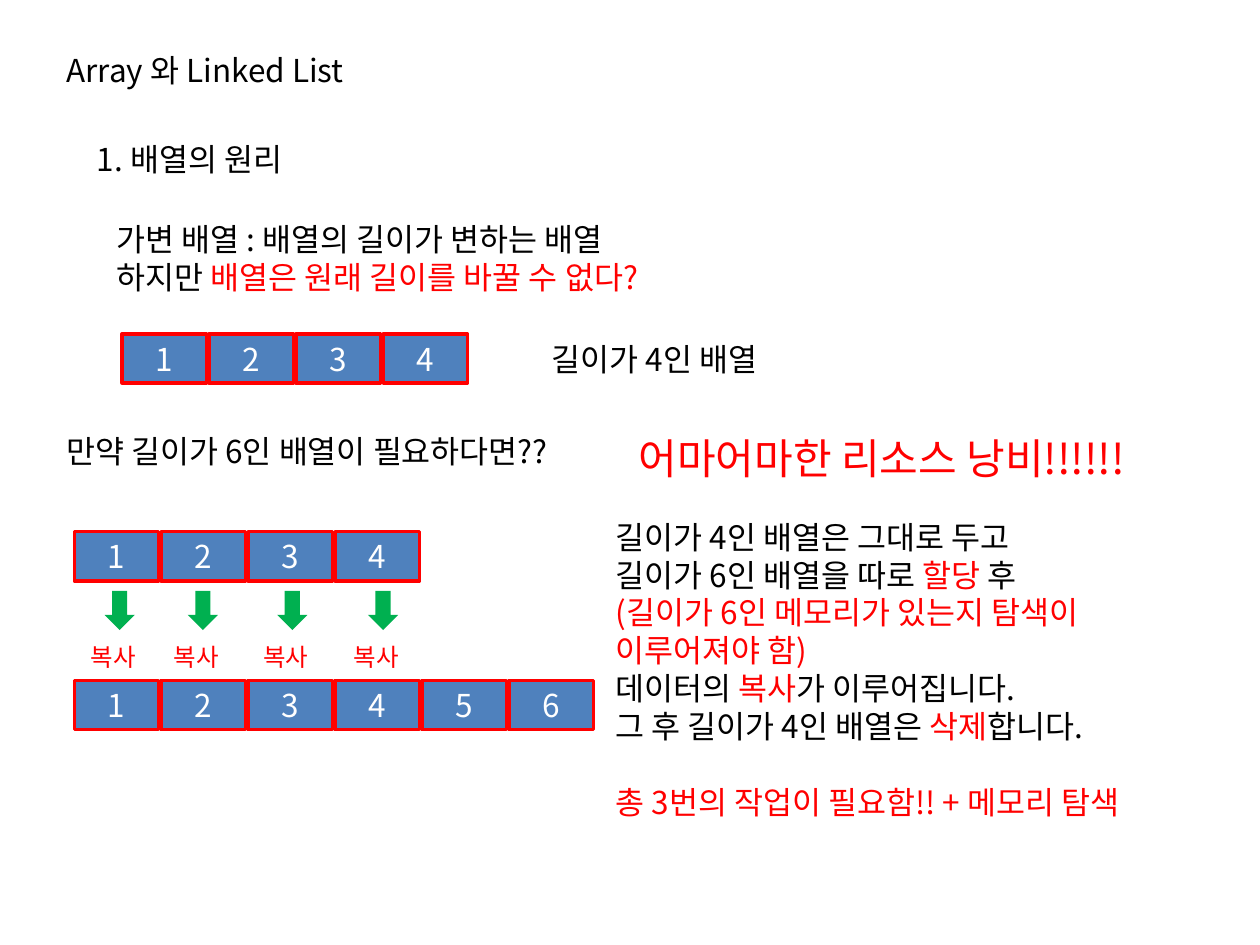
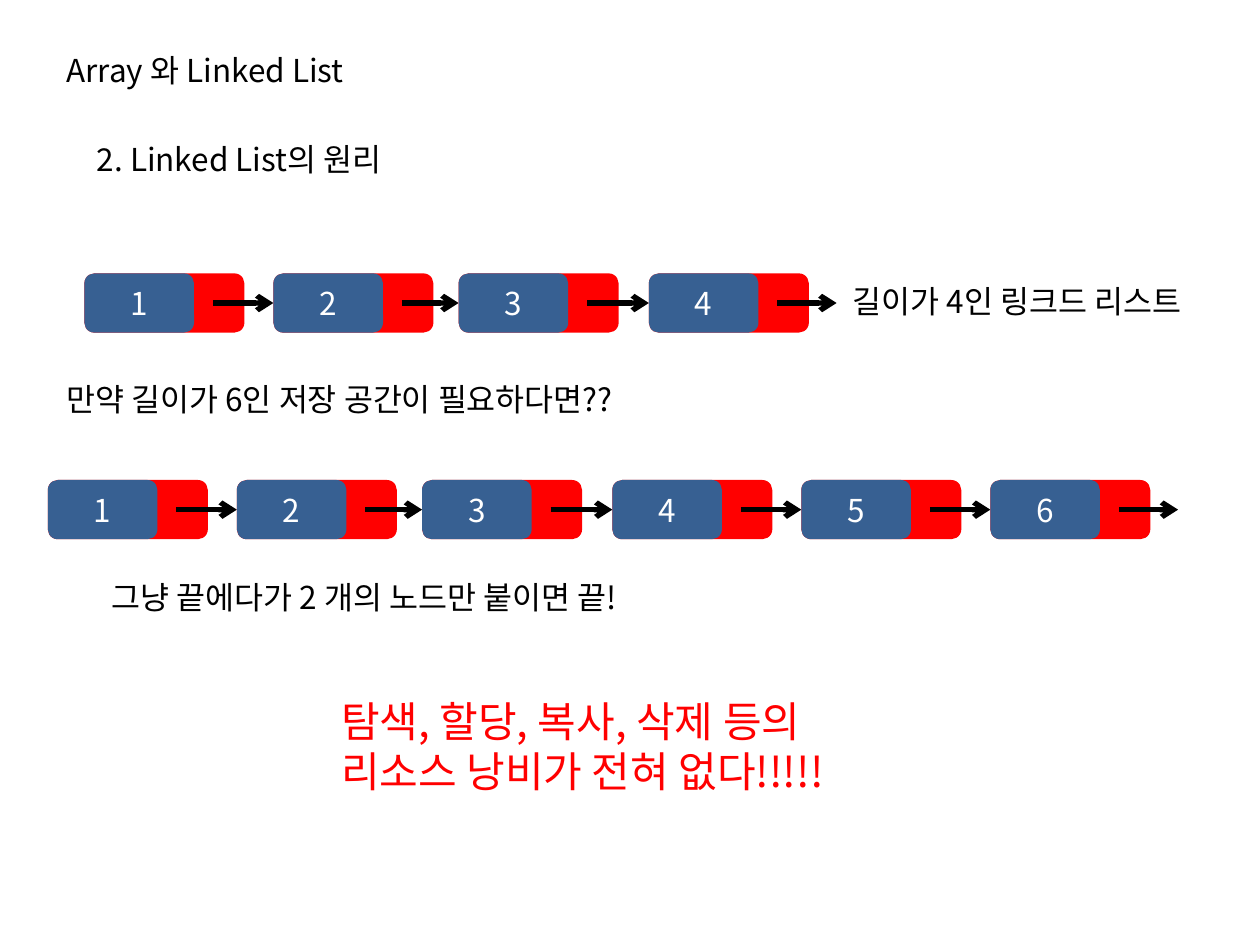
"""Build two slides that compare how arrays and linked lists grow."""
from lxml.etree import SubElement
from pptx import Presentation
from pptx.dml.color import RGBColor
from pptx.enum.shapes import MSO_CONNECTOR, MSO_SHAPE
from pptx.enum.text import MSO_ANCHOR, PP_ALIGN
from pptx.oxml.ns import qn
from pptx.util import Inches, Pt

FONT = "Noto Sans CJK KR"
BLACK, WHITE, RED = "000000", "FFFFFF", "FF0000"
CELL_BLUE, NODE_BLUE, GREEN = "4F81BD", "376092", "00B050"
MARK = "|"
BODY, LOUD, SMALL = 18, 24, 14

TITLE = ((0.43, 0.36, 2.44, 0.4), BODY, ["Array 와 Linked List"])

ARRAY_TEXTS = [
    TITLE,
    ((0.67, 1.06, 1.84, 0.4), BODY, ["1. 배열의 원리"]),
    ((0.83, 1.7, 4.89, 0.71), BODY, [
        "가변 배열 : 배열의 길이가 변하는 배열",
        "하지만 |배열은 원래 길이를 바꿀 수 없다?",
    ]),
    ((4.28, 2.65, 2.03, 0.4), BODY, ["길이가 4인 배열"]),
    ((0.43, 3.38, 4.46, 0.4), BODY, ["만약 길이가 6인 배열이 필요하다면??"]),
    ((4.79, 4.06, 4.74, 2.52), BODY, [
        "길이가 4인 배열은 그대로 두고",
        "길이가 6인 배열을 따로 |할당| 후",
        "|(길이가 6인 메모리가 있는지 탐색이",
        "|이루어져야 함)",
        "데이터의 |복사|가 이루어집니다.",
        "그 후 길이가 4인 배열은 |삭제|합니다.",
        "|총 3번의 작업이 필요함!! + 메모리 탐색",
    ]),
    ((4.97, 3.38, 4.44, 0.5), LOUD, ["|어마어마한 리소스 낭비!!!!!!"]),
]
ARRAYS = [(0.97, 2.65, 4), (0.59, 4.22, 4), (0.59, 5.4, 6)]
CELL_WIDTH, CELL_HEIGHT, CELL_PITCH = 0.67, 0.39, 0.69
COPY_LABEL = "|복사"
COPY_LEFTS = [0.83, 1.49, 2.2, 2.92]

LIST_TEXTS = [
    TITLE,
    ((0.67, 1.06, 2.54, 0.4), BODY, ["2. Linked List의 원리"]),
    ((0.43, 2.97, 5.06, 0.4), BODY, ["만약 길이가 6인 저장 공간이 필요하다면??"]),
    ((6.67, 2.19, 3.13, 0.4), BODY, ["길이가 4인 링크드 리스트"]),
    ((0.79, 4.54, 4.74, 0.4), BODY, ["그냥 끝에다가 2 개의 노드만 붙이면 끝!"]),
    ((2.61, 5.47, 4.42, 0.91), LOUD, [
        "|탐색, 할당, 복사, 삭제 등의",
        "|리소스 낭비가 전혀 없다!!!!!",
    ]),
]
LINKED_LISTS = [(0.67, 2.17, 4), (0.38, 3.81, 6)]
NODE_OFFSETS = [0, 1.5, 2.97, 4.48, 5.98, 7.48]
NODE_WIDTH, VALUE_WIDTH, NODE_HEIGHT = 1.27, 0.87, 0.47
LINK_START, LINK_LENGTH = 1.02, 0.47
SPACED_LINE, SPACE_BEFORE = "|총", 21.7


def rgb(color):
    return RGBColor.from_string(color)


def add_run(paragraph, text, size, color):
    run = paragraph.add_run()
    run.text = text
    for name, value in {"size": Pt(size), "name": FONT}.items():
        setattr(run.font, name, value)
    run.font.color.rgb = rgb(color)
    SubElement(run.font._element, qn("a:ea"), typeface=FONT)


def add_text(slide, box, size, lines):
    frame = slide.shapes.add_textbox(*map(Inches, box)).text_frame
    frame.word_wrap = True
    for number, line in enumerate(lines):
        paragraph = frame.add_paragraph() if number else frame.paragraphs[0]
        if line.startswith(SPACED_LINE):
            paragraph.space_before = Pt(SPACE_BEFORE)
        for part, text in enumerate(line.split(MARK)):
            if text:
                add_run(paragraph, text, size, RED if part % 2 else BLACK)


def add_block(slide, preset, box, fill, label="", outline=None):
    block = slide.shapes.add_shape(preset, *map(Inches, box))
    block.shadow.inherit = False
    block.fill.solid()
    block.fill.fore_color.rgb = rgb(fill)
    if outline:
        block.line.color.rgb = rgb(outline)
        block.line.width = Pt(2)
    else:
        block.line.fill.background()
    if label:
        block.text_frame.vertical_anchor = MSO_ANCHOR.MIDDLE
        paragraph = block.text_frame.paragraphs[0]
        paragraph.alignment = PP_ALIGN.CENTER
        add_run(paragraph, label, BODY, WHITE)
    return block


def add_array(slide, left, top, length):
    for index in range(length):
        box = (left + index * CELL_PITCH, top, CELL_WIDTH, CELL_HEIGHT)
        add_block(slide, MSO_SHAPE.RECTANGLE, box, CELL_BLUE, str(index + 1), RED)


def add_link(slide, left, middle):
    ends = (left, middle, left + LINK_LENGTH, middle)
    link = slide.shapes.add_connector(MSO_CONNECTOR.STRAIGHT, *map(Inches, ends))
    link.line.color.rgb = rgb(BLACK)
    link.line.width = Pt(3)
    SubElement(link.line._get_or_add_ln(), qn("a:tailEnd"), type="arrow")
    SubElement(link._element.spPr, qn("a:effectLst"))
    return link


def add_linked_list(slide, left, top, length):
    link = None
    for index, offset in enumerate(NODE_OFFSETS[:length]):
        x = left + offset
        add_block(slide, MSO_SHAPE.ROUNDED_RECTANGLE, (x, top, NODE_WIDTH, NODE_HEIGHT), RED)
        value = add_block(slide, MSO_SHAPE.ROUNDED_RECTANGLE,
                          (x, top, VALUE_WIDTH, NODE_HEIGHT), NODE_BLUE, str(index + 1))
        if link:
            link.end_connect(value, 1)
        link = add_link(slide, x + LINK_START, top + NODE_HEIGHT / 2)


def add_slide(deck, texts):
    slide = deck.slides.add_slide(deck.slide_layouts[6])
    for box, size, lines in texts:
        add_text(slide, box, size, lines)
    return slide


def main():
    deck = Presentation()
    deck.slide_width, deck.slide_height = Inches(10), Inches(7.5)

    array_slide = add_slide(deck, ARRAY_TEXTS)
    for array in ARRAYS:
        add_array(array_slide, *array)
    for left in COPY_LEFTS:
        add_block(array_slide, MSO_SHAPE.DOWN_ARROW, (left, 4.69, 0.24, 0.31), GREEN)
        add_text(array_slide, (left - 0.21, 5.05, 0.59, 0.34), SMALL, [COPY_LABEL])

    list_slide = add_slide(deck, LIST_TEXTS)
    for linked_list in LINKED_LISTS:
        add_linked_list(list_slide, *linked_list)

    deck.save("out.pptx")


if __name__ == "__main__":
    main()
